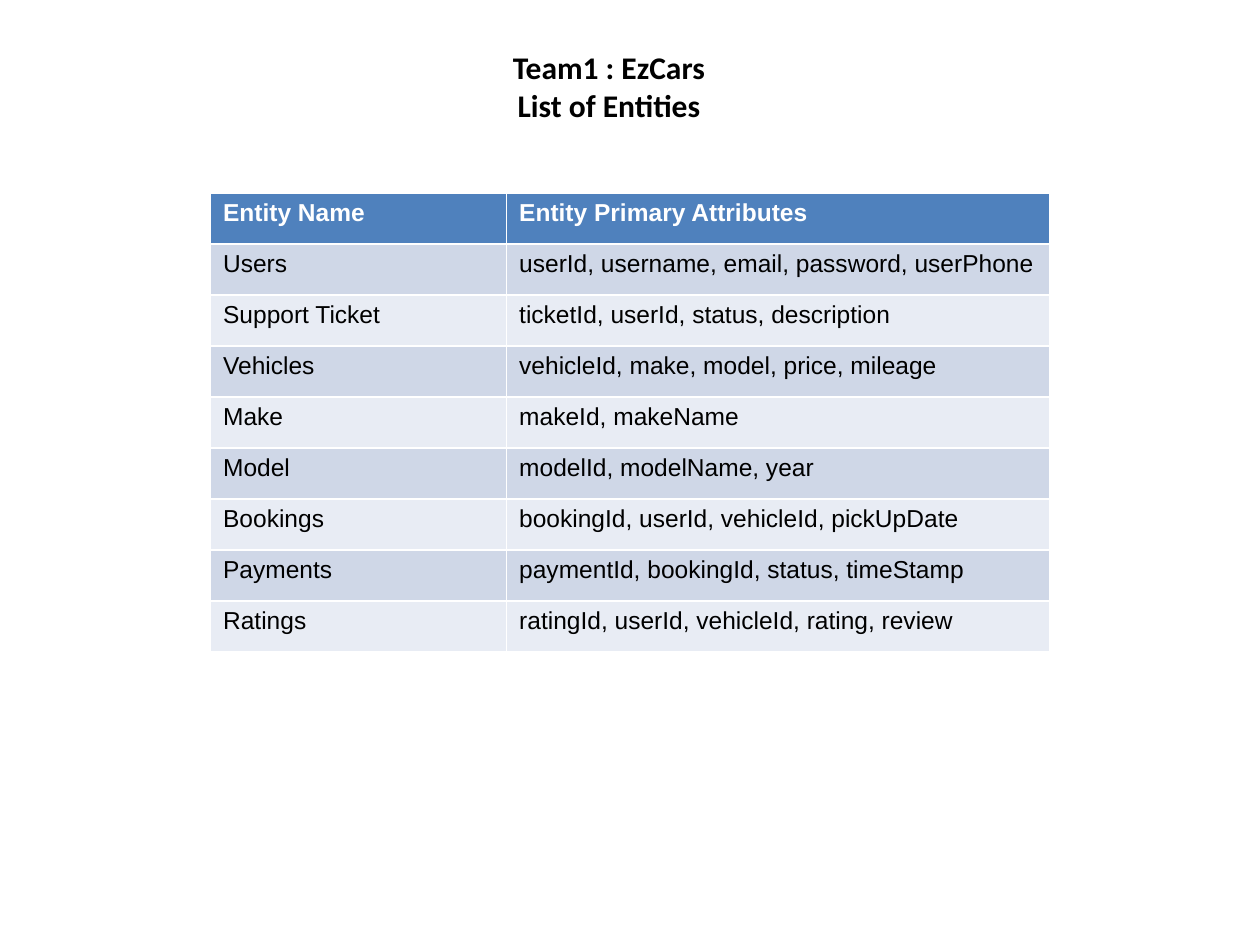
"""Build a slide that lists the entities of a car rental project in a table."""
import pptx
import pptx.dml.color
import pptx.enum.text
import pptx.util

Pt = pptx.util.Pt
RGBColor = pptx.dml.color.RGBColor

COLORS = {
    "header": "4F81BD",
    "odd": "CFD7E7",
    "even": "E8ECF4",
    "white": "FFFFFF",
    "black": "000000",
}
TITLE_LINES = ["Team1 : EzCars", "List of Entities"]
ENTITIES = [
    ("Entity Name", "Entity Primary Attributes"),
    ("Users", "userId, username, email, password, userPhone"),
    ("Support Ticket", "ticketId, userId, status, description"),
    ("Vehicles", "vehicleId, make, model, price, mileage"),
    ("Make", "makeId, makeName"),
    ("Model", "modelId, modelName, year"),
    ("Bookings", "bookingId, userId, vehicleId, pickUpDate"),
    ("Payments", "paymentId, bookingId, status, timeStamp"),
    ("Ratings", "ratingId, userId, vehicleId, rating, review"),
]
COLUMN_WIDTHS = [169.2, 310.3]
ROW_HEIGHT = 29.16


def style_font(paragraph, name, size, color, bold):
    font = paragraph.font
    font.name = name
    font.size = Pt(size)
    font.bold = bold
    font.color.rgb = RGBColor.from_string(COLORS[color])


deck = pptx.Presentation()
deck.slide_width = Pt(720)
deck.slide_height = Pt(540)
page = deck.slides.add_slide(deck.slide_layouts.get_by_name("Title Only"))

title = page.shapes.title
title.left, title.top, title.width, title.height = Pt(234), Pt(23.8), Pt(228), Pt(51)
title.text_frame.text = "\n".join(TITLE_LINES)
title.text_frame.auto_size = pptx.enum.text.MSO_AUTO_SIZE.NONE
for paragraph in title.text_frame.paragraphs:
    paragraph.alignment = pptx.enum.text.PP_ALIGN.CENTER
    style_font(paragraph, "Calibri", 18, "black", True)

table = page.shapes.add_table(
    len(ENTITIES), len(COLUMN_WIDTHS), Pt(120.3), Pt(110.2),
    Pt(sum(COLUMN_WIDTHS)), Pt(ROW_HEIGHT * len(ENTITIES)),
).table
for column, width in zip(table.columns, COLUMN_WIDTHS):
    column.width = Pt(width)

for row_index, entity in enumerate(ENTITIES):
    table.rows[row_index].height = Pt(ROW_HEIGHT)
    is_header = row_index == 0
    fill_color = "header" if is_header else "odd" if row_index % 2 else "even"
    for column_index, text in enumerate(entity):
        cell = table.cell(row_index, column_index)
        cell.text = text
        cell.fill.solid()
        cell.fill.fore_color.rgb = RGBColor.from_string(COLORS[fill_color])
        style_font(cell.text_frame.paragraphs[0], "Arial", 14,
                   "white" if is_header else "black", is_header)

deck.save("out.pptx")
